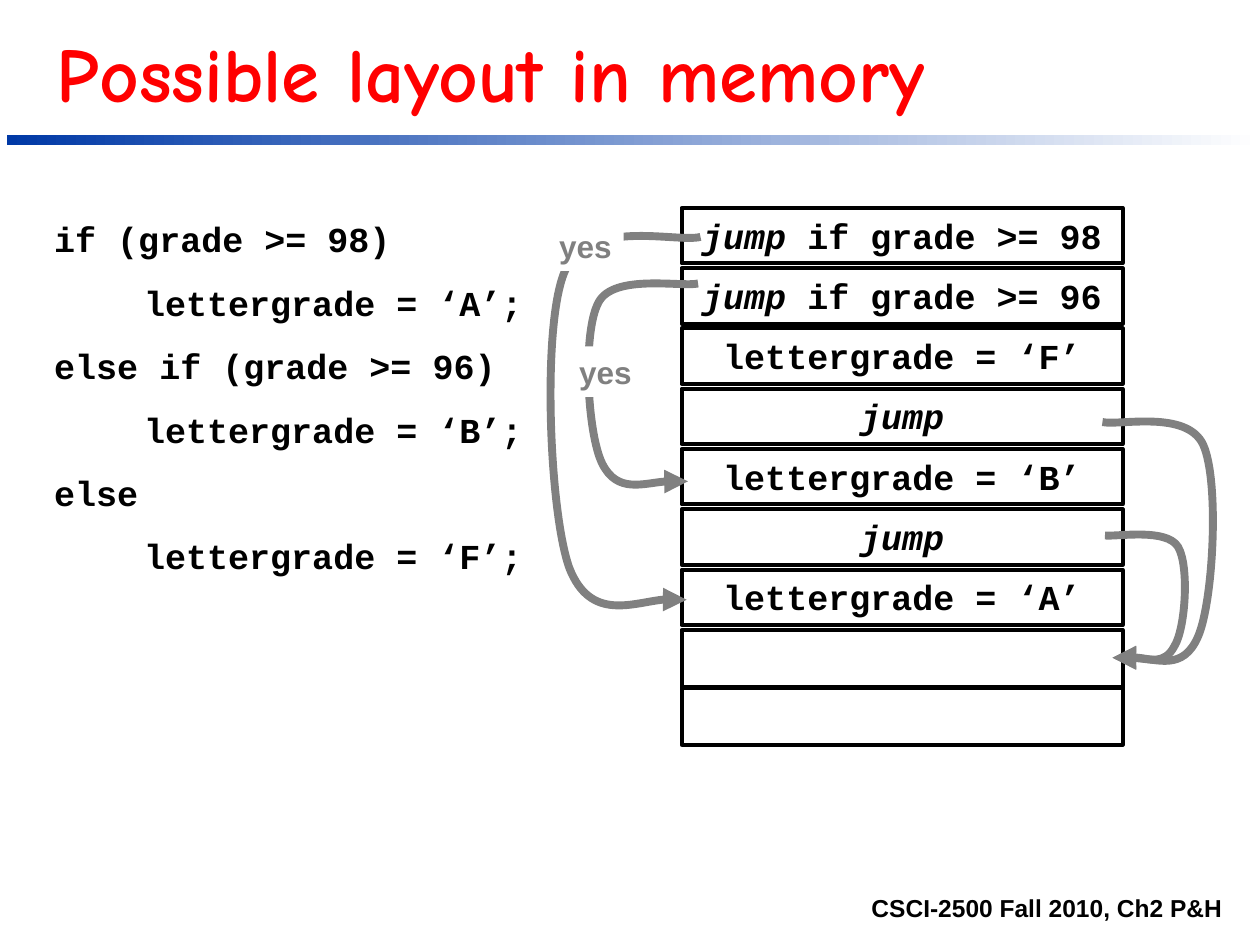
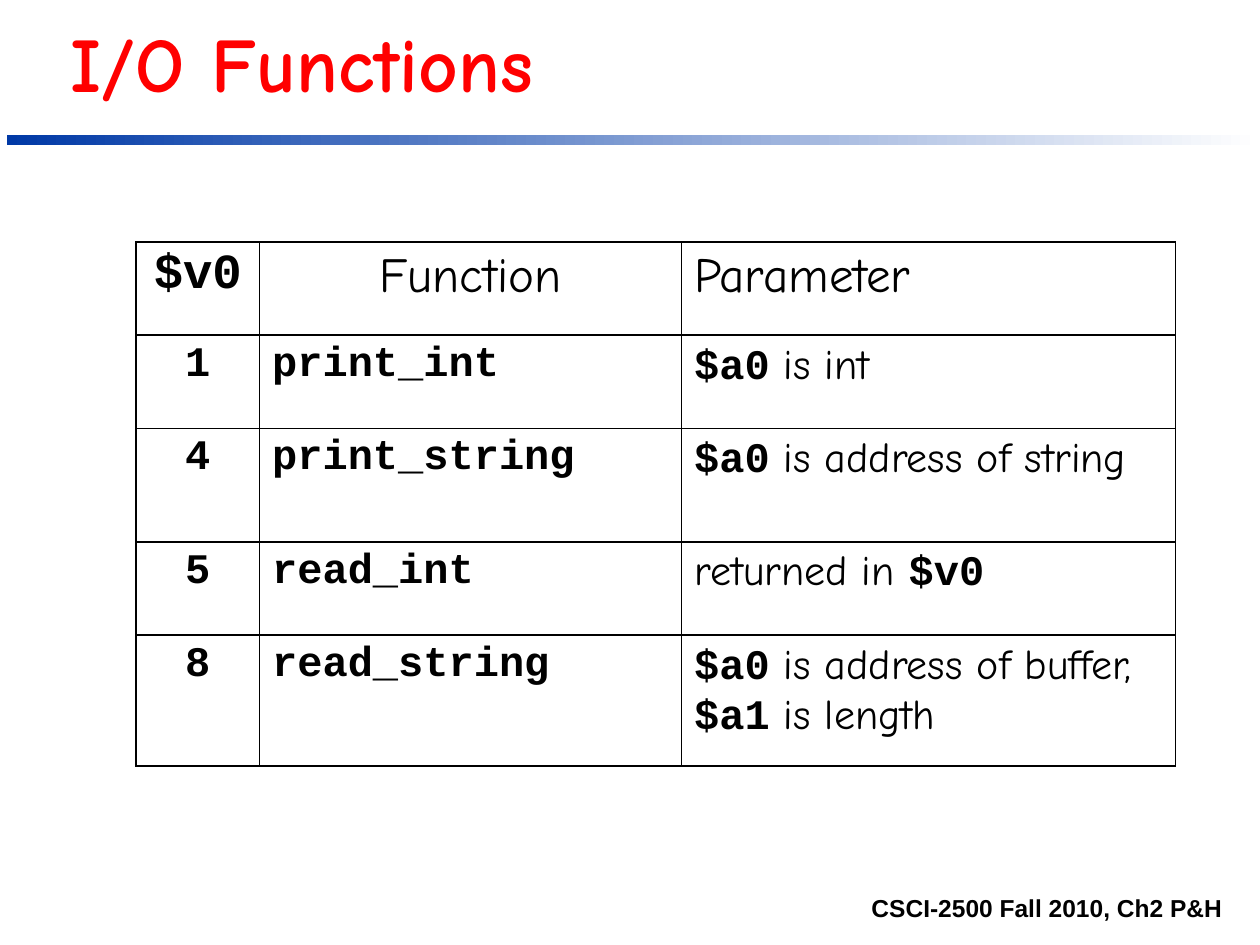
from dataclasses import dataclass, replace
from typing import Any

from lxml.etree import SubElement
from pptx import Presentation
from pptx.dml.color import RGBColor
from pptx.enum.shapes import MSO_SHAPE
from pptx.enum.text import MSO_ANCHOR, MSO_AUTO_SIZE, PP_ALIGN
from pptx.oxml import parse_xml
from pptx.oxml.ns import nsdecls, qn
from pptx.util import Inches, Pt

COLORS = {
    "title": "FF0000",
    "text": "000000",
    "band": "0039A6",
    "paper": "FFFFFF",
    "jump": "808080",
}


@dataclass(frozen=True)
class Style:
    font: str
    size: float
    color: str = "text"
    bold: bool = True
    italic: bool = False


@dataclass(frozen=True)
class Box:
    left: float
    top: float
    width: float
    height: float

    def emu(self) -> list[int]:
        return [Inches(v) for v in (self.left, self.top, self.width, self.height)]


@dataclass(frozen=True)
class Jump:
    points: list[tuple[float, float]]
    label: Box | None = None


TITLE = Style("Comic Neue", 44, "title")
FOOTER = Style("Arial", 14)
CODE = Style("Courier New", 20)
LABEL = Style("Arial", 18, "jump")

SOURCE_LINES = [
    "if (grade >= 98)",
    "\t  lettergrade = ‘A’;",
    "else if (grade >= 96)",
    "\t  lettergrade = ‘B’;",
    "else",
    "\t  lettergrade = ‘F’;",
]

MEMORY_ROWS = [
    "`jump` if grade >= 98",
    "`jump` if grade >= 96",
    "lettergrade = ‘F’",
    "`jump`",
    "lettergrade = ‘B’",
    "`jump`",
    "lettergrade = ‘A’",
]
MEMORY_LEFT, MEMORY_TOP, MEMORY_WIDTH = 5.41, 1.65, 3.5
EMPTY_TOPS, EMPTY_HEIGHT = (5.0, 5.45), 0.46
ROW_HEIGHT = 0.44
ROW_PITCH = (EMPTY_TOPS[0] - MEMORY_TOP) / len(MEMORY_ROWS)

JUMPS = [
    Jump([(5.56, 1.88), (5.38, 1.93), (4.65, 1.72), (4.48, 2.16), (4.3, 2.59),
          (4.36, 4.07), (4.52, 4.51), (4.69, 4.94), (5.26, 4.71), (5.45, 4.76)],
         Box(4.34, 1.75, 0.61, 0.4)),
    Jump([(5.54, 2.25), (5.41, 2.28), (4.87, 2.17), (4.75, 2.4), (4.62, 2.64),
          (4.66, 3.44), (4.78, 3.68), (4.9, 3.92), (5.32, 3.79), (5.46, 3.82)],
         Box(4.5, 2.75, 0.61, 0.4)),
    Jump([(8.75, 3.35), (8.88, 3.38), (9.42, 3.25), (9.55, 3.53), (9.68, 3.82),
          (9.63, 4.77), (9.51, 5.05), (9.39, 5.33), (8.97, 5.18), (8.83, 5.22)]),
    Jump([(8.77, 4.25), (8.87, 4.26), (9.26, 4.19), (9.35, 4.34), (9.44, 4.49),
          (9.41, 4.99), (9.32, 5.13), (9.24, 5.28), (8.93, 5.2), (8.83, 5.22)]),
]

IO_ROWS = [
    ("`$v0`", "Function", "Parameter"),
    ("`1`", "`print_int`", "`$a0` is int"),
    ("`4`", "`print_string`", "`$a0` is address of string"),
    ("`5`", "`read_int`", "returned in `$v0`"),
    ("`8`", "`read_string`", "`$a0` is address of buffer, `$a1` is length"),
]
IO_WIDTHS = [0.98, 3.35, 3.92]
IO_HEIGHTS = [0.74, 0.74, 0.9, 0.74, 1.04]


def rgb(name: str) -> RGBColor:
    return RGBColor.from_string(COLORS[name])


def format_run(r: Any, style: Style) -> None:
    r.font.name = style.font
    r.font.size = Pt(style.size)
    r.font.bold = style.bold
    r.font.italic = style.italic
    r.font.color.rgb = rgb(style.color)


def write(p: Any, text: str, plain: Style, marked: Style | None = None) -> None:
    for i, part in enumerate(text.split("`")):
        if part:
            r = p.add_run()
            r.text = part
            format_run(r, marked if i % 2 and marked else plain)


def place(sp: Any, box: Box) -> None:
    sp.left, sp.top, sp.width, sp.height = box.emu()


def add_rect(s: Any, box: Box) -> Any:
    sp = s.shapes.add_shape(MSO_SHAPE.RECTANGLE, *box.emu())
    sp.shadow.inherit = False
    sp.fill.background()
    sp.line.fill.background()
    sp.text_frame.vertical_anchor = MSO_ANCHOR.TOP
    sp.text_frame.paragraphs[0].alignment = PP_ALIGN.CENTER
    return sp


def add_band(s: Any) -> None:
    sp = add_rect(s, Box(0.06, 1.07, 9.94, 0.08))
    sp.fill.gradient()
    sp.fill.gradient_angle = 180
    for stop, color in zip(sp.fill.gradient_stops, ("paper", "band")):
        stop.color.rgb = rgb(color)


def add_slide(prs: Any, layout: str, title: str, left: float, top: float) -> Any:
    s = prs.slides.add_slide(prs.slide_layouts.get_by_name(layout))
    add_band(s)
    sp = s.shapes.title
    place(sp, Box(left, top, 9.05, 0.83))
    tf = sp.text_frame
    tf.vertical_anchor = MSO_ANCHOR.BOTTOM
    tf.auto_size = MSO_AUTO_SIZE.SHAPE_TO_FIT_TEXT
    tf.paragraphs[0].alignment = PP_ALIGN.LEFT
    write(tf.paragraphs[0], title, TITLE)

    tf = s.shapes.add_textbox(*Box(1.85, 6.98, 7.95, 0.39).emu()).text_frame
    tf.word_wrap = True
    tf.vertical_anchor = MSO_ANCHOR.BOTTOM
    tf.paragraphs[0].alignment = PP_ALIGN.RIGHT
    write(tf.paragraphs[0], "CSCI-2500 Fall 2010, Ch2 P&H", FOOTER)
    return s


def fill_source_code(sp: Any) -> None:
    place(sp, Box(0.33, 1.58, 4.08, 4.25))
    tf = sp.text_frame
    tf.auto_size = MSO_AUTO_SIZE.NONE
    tf.text = "\n".join(SOURCE_LINES)
    for i, p in enumerate(tf.paragraphs):
        pPr = p._p.get_or_add_pPr()
        pPr.set("marL", str(Inches(0.38)))
        pPr.set("indent", str(-Inches(0.38)))
        SubElement(pPr, qn("a:buNone"))
        p.line_spacing = 1.3
        p.space_before = Pt(5 if i else 0)
        for r in p.runs:
            format_run(r, CODE)


def add_memory_row(s: Any, top: float, height: float, text: str = "") -> None:
    sp = add_rect(s, Box(MEMORY_LEFT, top, MEMORY_WIDTH, height))
    sp.line.color.rgb = rgb("text")
    sp.line.width = Pt(2.25)
    write(sp.text_frame.paragraphs[0], text, CODE, replace(CODE, italic=True))


def add_jump(s: Any, jump: Jump) -> None:
    start, *rest = [(Inches(x), Inches(y)) for x, y in jump.points]
    builder = s.shapes.build_freeform(*start)
    builder.add_line_segments(rest, close=False)
    sp = builder.convert_to_shape()
    sp.shadow.inherit = False
    sp.fill.background()
    sp.line.color.rgb = rgb("jump")
    sp.line.width = Pt(4.5)
    SubElement(sp.line._get_or_add_ln(), qn("a:tailEnd"), type="triangle")

    segments = list(sp.element.iter(qn("a:lnTo")))
    outline = segments[0].getparent()
    for i in range(0, len(segments), 3):
        curve = SubElement(outline, qn("a:cubicBezTo"))
        for segment in segments[i:i + 3]:
            curve.append(segment[0])
            outline.remove(segment)

    if jump.label:
        sp = add_rect(s, jump.label)
        sp.fill.solid()
        sp.fill.fore_color.rgb = rgb("paper")
        sp.text_frame.word_wrap = False
        write(sp.text_frame.paragraphs[0], "yes", LABEL)


def add_borders(cell: Any) -> None:
    tcPr = cell._tc.get_or_add_tcPr()
    for i, side in enumerate(("lnL", "lnR", "lnT", "lnB")):
        tcPr.insert(i, parse_xml(
            f'<a:{side} {nsdecls("a")} w="{Pt(1.08)}"><a:solidFill>'
            f'<a:srgbClr val="{COLORS["text"]}"/></a:solidFill></a:{side}>'))


def add_io_table(s: Any) -> None:
    box = Box(1.08, 1.92, sum(IO_WIDTHS), sum(IO_HEIGHTS))
    table = s.shapes.add_table(len(IO_ROWS), len(IO_WIDTHS), *box.emu()).table
    table.first_row = table.horz_banding = False
    for column, width in zip(table.columns, IO_WIDTHS):
        column.width = Inches(width)
    for i, (row, height) in enumerate(zip(table.rows, IO_HEIGHTS)):
        row.height = Inches(height)
        mono = Style("Courier New", 24 if i else 28)
        plain = replace(mono, font="Comic Neue", bold=False)
        for j, (cell, text) in enumerate(zip(row.cells, IO_ROWS[i])):
            cell.fill.background()
            add_borders(cell)
            p = cell.text_frame.paragraphs[0]
            centred = j == 0 or (i == 0 and j == 1)
            p.alignment = PP_ALIGN.CENTER if centred else PP_ALIGN.LEFT
            write(p, text, plain, mono)


def main() -> None:
    prs = Presentation()
    prs.slide_width, prs.slide_height = Inches(10), Inches(7.5)

    s = add_slide(prs, "Title and Content", "Possible layout in memory", 0.35, 0.16)
    fill_source_code(s.placeholders[1])
    for i, text in enumerate(MEMORY_ROWS):
        add_memory_row(s, MEMORY_TOP + i * ROW_PITCH, ROW_HEIGHT, text)
    for top in EMPTY_TOPS:
        add_memory_row(s, top, EMPTY_HEIGHT)
    for jump in JUMPS:
        add_jump(s, jump)

    s = add_slide(prs, "Title Only", "I/O Functions", 0.46, 0.08)
    add_io_table(s)

    prs.save("out.pptx")


if __name__ == "__main__":
    main()
